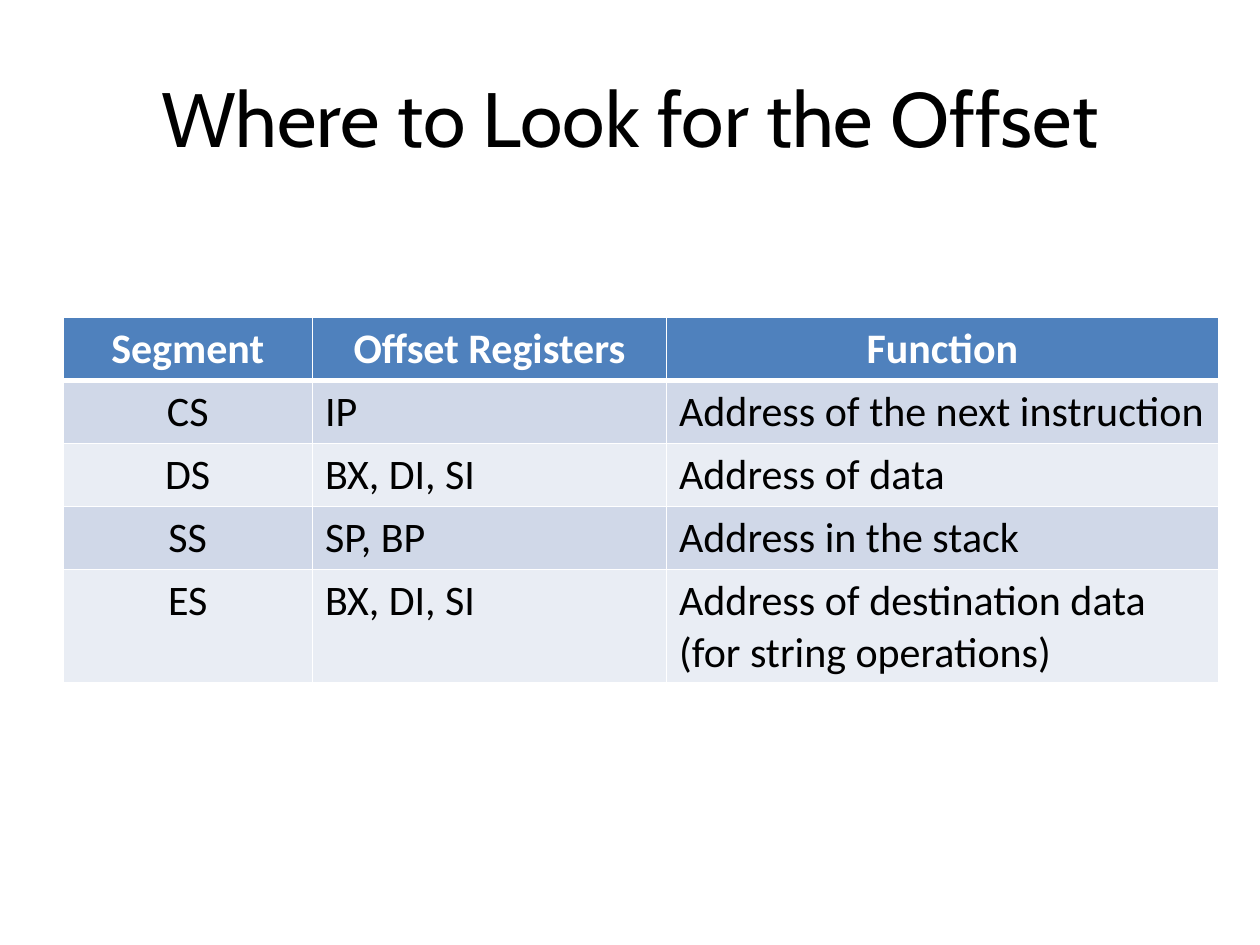
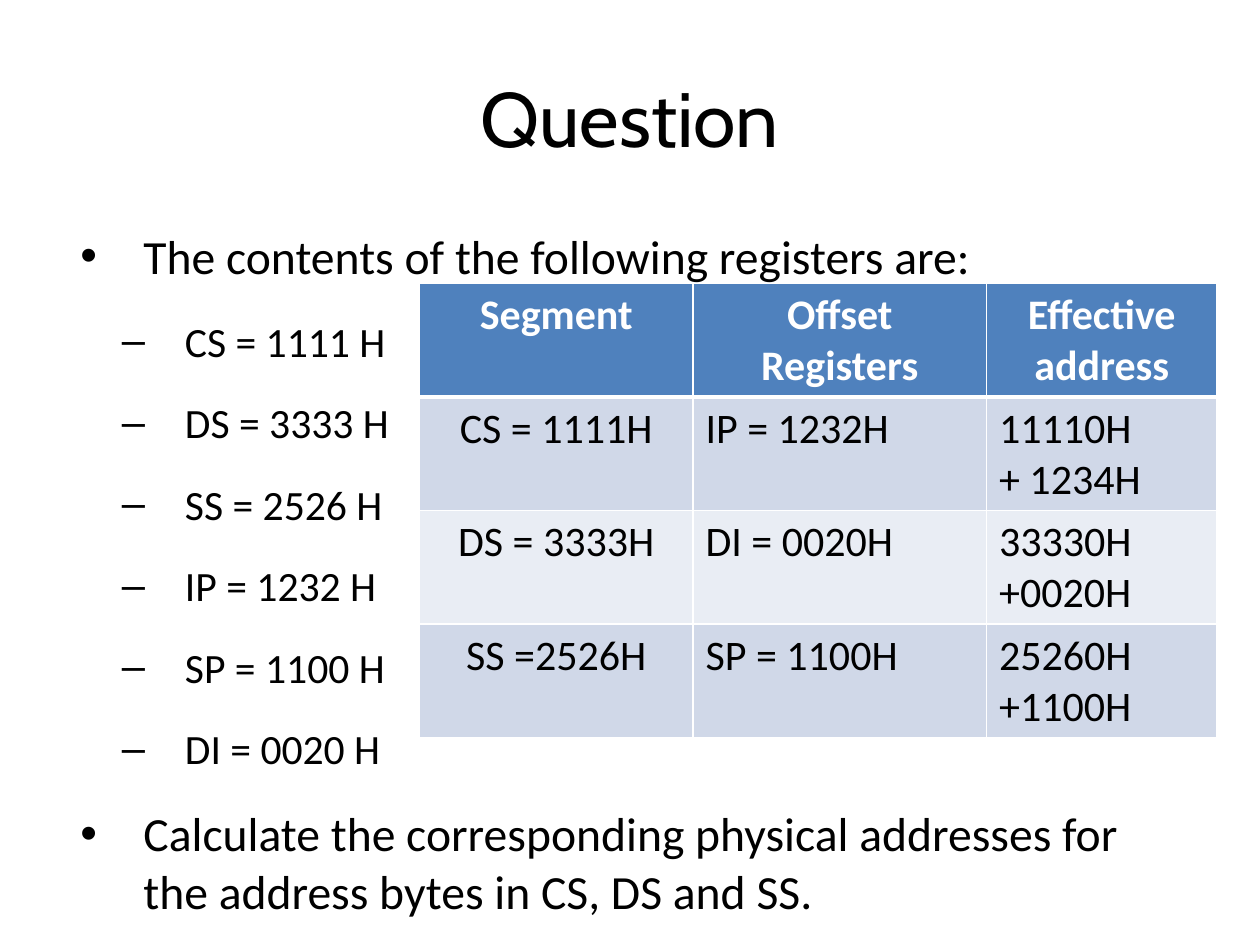
"""Build two slides on segment and offset registers."""
from lxml import etree
from pptx import Presentation
from pptx.dml.color import RGBColor
from pptx.enum.text import MSO_ANCHOR, PP_ALIGN
from pptx.oxml.ns import qn
from pptx.util import Inches, Pt

CENTER, LEFT = PP_ALIGN.CENTER, PP_ALIGN.LEFT
MIDDLE = MSO_ANCHOR.MIDDLE
BLACK = RGBColor(0, 0, 0)
WHITE = RGBColor(255, 255, 255)
BLUE = RGBColor(0x4F, 0x81, 0xBD)
BANDS = RGBColor(0xE9, 0xED, 0xF4), RGBColor(0xD0, 0xD8, 0xE8)
HEAD, BODY = "Cabin", "Calibri"

LEVELS = [("•", 0.54, 27.2), ("–", 0.87, 23.8)]

SLIDES = [
    {
        "title": "Where to Look for the Offset",
        "points": [],
        "at": (0.5, 2.52),
        "cols": (1.98, 2.81, 4.38),
        "heights": (0.46, 0.46, 0.46, 0.46, 0.8),
        "rows": [
            ("Segment", "Offset Registers", "Function"),
            ("CS", "IP", "Address of the next instruction"),
            ("DS", "BX, DI, SI", "Address of data"),
            ("SS", "SP, BP", "Address in the stack"),
            ("ES", "BX, DI, SI", "Address of destination data\n(for string operations)"),
        ],
    },
    {
        "title": "Question",
        "points": [
            (0, "The contents of the following registers are:"),
            (1, "CS = 1111 H"),
            (1, "DS = 3333 H"),
            (1, "SS = 2526 H"),
            (1, "IP = 1232 H"),
            (1, "SP = 1100 H"),
            (1, "DI = 0020 H"),
            (0, "Calculate the corresponding physical addresses for "
                "the address bytes in CS, DS and SS."),
        ],
        "at": (3.33, 2.25),
        "cols": (2.17, 2.33, 1.83),
        "heights": (0.9,) * 4,
        "rows": [
            ("Segment", "Offset Registers", "Effective address"),
            ("CS = 1111H", "IP = 1232H", "11110H\n+ 1234H"),
            ("DS = 3333H", "DI = 0020H", "33330H\n+0020H"),
            ("SS =2526H", "SP = 1100H", "25260H\n+1100H"),
        ],
    },
]


def add_run(para, text, size, font=BODY, color=BLACK, bold=False):
    run = para.add_run()
    run.text = text
    run.font.size, run.font.name, run.font.bold = Pt(size), font, bold
    run.font.color.rgb = color


def next_para(frame, index):
    return frame.add_paragraph() if index else frame.paragraphs[0]


def add_frame(slide, *box):
    frame = slide.shapes.add_textbox(*map(Inches, box)).text_frame
    frame.word_wrap = True
    return frame


def add_title(slide, text):
    frame = add_frame(slide, 0.5, 0.3, 9, 1.25)
    frame.vertical_anchor = MIDDLE
    para = frame.paragraphs[0]
    para.alignment = CENTER
    add_run(para, text, 44, HEAD)


def add_points(slide, points):
    frame = add_frame(slide, 0.5, 1.75, 9, 4.95)
    for i, (level, text) in enumerate(points):
        mark, indent, size = LEVELS[level]
        para = next_para(frame, i)
        para.level, para.space_after = level, Pt(18)
        props = para._p.get_or_add_pPr()
        props.set("marL", str(Inches(indent)))
        props.set("indent", str(Inches(-0.5)))
        etree.SubElement(props, qn("a:buFont")).set("typeface", "Arial")
        etree.SubElement(props, qn("a:buChar")).set("char", mark)
        add_run(para, text, size)


def add_edges(cell, row):
    props = cell._tc.get_or_add_tcPr()
    thick = {"T": row == 1, "B": row == 0}
    for side in "LRTB":
        width = Pt(3 if thick.get(side) else 1)
        line = etree.SubElement(props, qn("a:ln" + side), w=str(width))
        fill = etree.SubElement(line, qn("a:solidFill"))
        etree.SubElement(fill, qn("a:srgbClr"), val=str(WHITE))


def fill_cell(cell, text, row, col):
    add_edges(cell, row)
    cell.fill.solid()
    cell.fill.fore_color.rgb = BANDS[row % 2] if row else BLUE
    for i, line in enumerate(text.split("\n")):
        para = next_para(cell.text_frame, i)
        para.alignment = CENTER if row == 0 or col == 0 else LEFT
        add_run(para, line, 24, color=BLACK if row else WHITE, bold=row == 0)


def add_grid(slide, at, cols, heights, rows):
    box = (*at, sum(cols), sum(heights))
    table = slide.shapes.add_table(len(rows), len(cols), *map(Inches, box)).table
    for col, width in zip(table.columns, cols):
        col.width = Inches(width)
    for r, (height, texts) in enumerate(zip(heights, rows)):
        table.rows[r].height = Inches(height)
        for c, text in enumerate(texts):
            fill_cell(table.cell(r, c), text, r, c)


def main():
    deck = Presentation()
    deck.slide_width, deck.slide_height = Inches(10), Inches(7.5)
    for data in SLIDES:
        slide = deck.slides.add_slide(deck.slide_layouts[6])
        add_title(slide, data["title"])
        if data["points"]:
            add_points(slide, data["points"])
        add_grid(slide, data["at"], data["cols"], data["heights"], data["rows"])
    deck.save("out.pptx")


if __name__ == "__main__":
    main()
